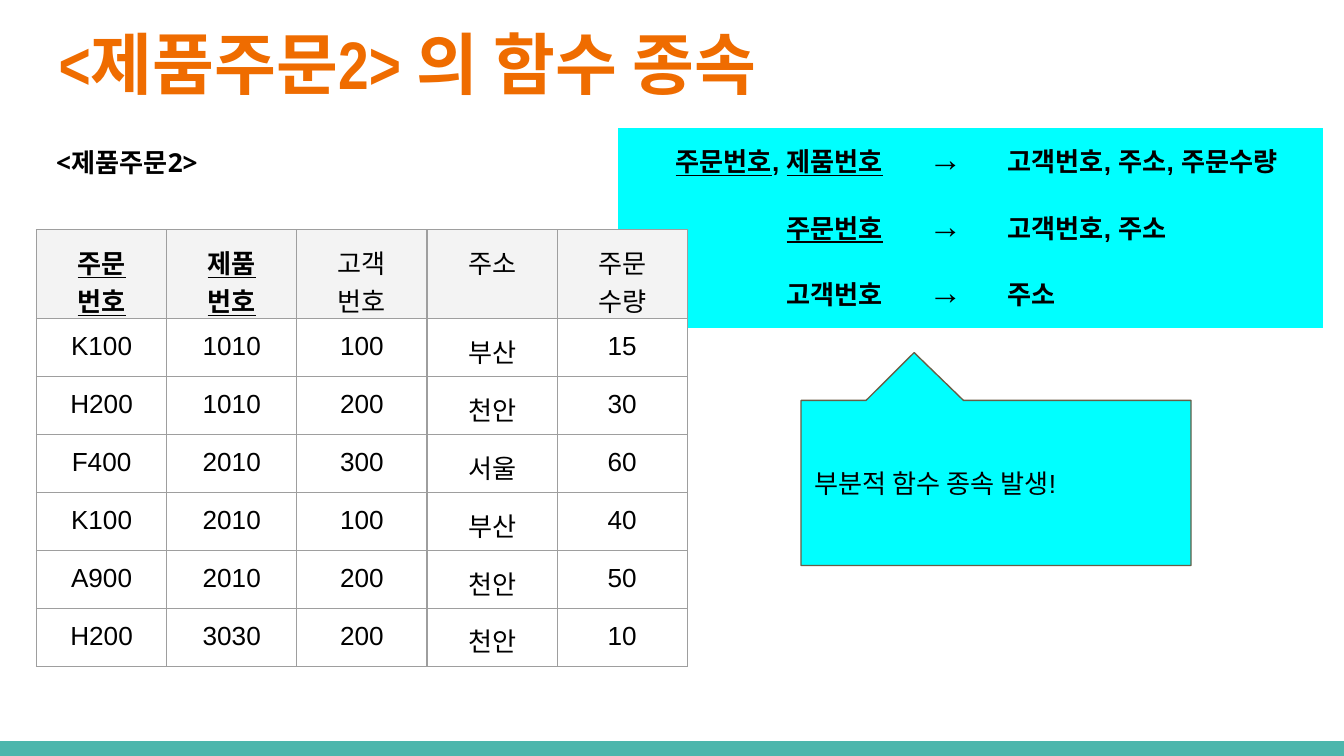
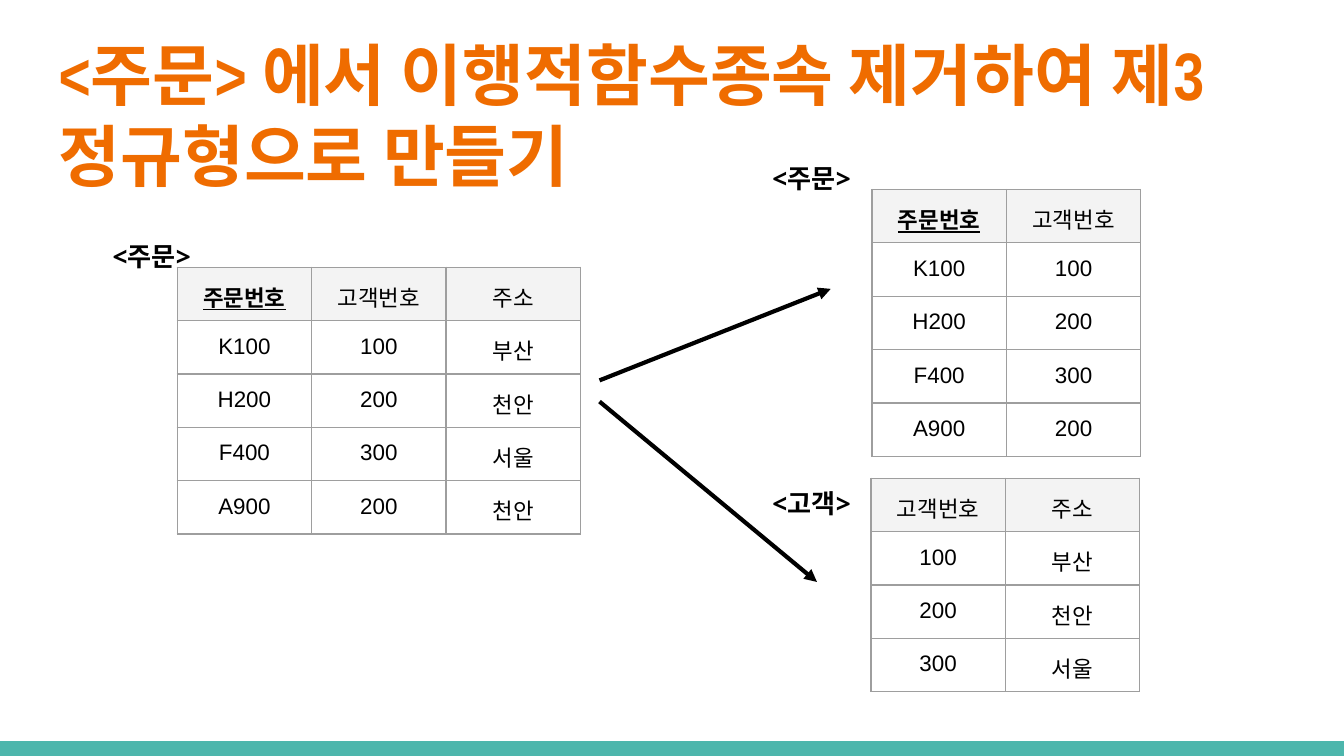
from dataclasses import dataclass

from pptx import Presentation
from pptx.dml.color import RGBColor
from pptx.enum import shapes, text
from pptx.oxml import parse_xml
from pptx.oxml.ns import nsdecls, qn
from pptx.util import Cm, Pt

LEFT, CENTER, RIGHT = text.PP_ALIGN.LEFT, text.PP_ALIGN.CENTER, text.PP_ALIGN.RIGHT
PLAIN_TABLE = "{2D5ABB26-0587-4C30-8999-92F81FD0307C}"


@dataclass(frozen=True)
class Theme:
    ink: str = "000000"
    title: str = "EF6C00"
    band: str = "4DB6AC"
    accent: str = "00FFFF"
    outline: str = "695D46"
    grid: str = "9E9E9E"
    header: str = "F3F3F3"
    paper: str = "FFFFFF"
    body_font: str = "Arial"
    title_font: str = "Arial Narrow"
    label_font: str = "Open Sans"
    title_size: int = 36
    arrow_size: int = 18
    body_size: int = 14
    small_size: int = 12
    inset: float = 0.25


THEME = Theme()


def paint(fill, colour):
    fill.solid()
    fill.fore_color.rgb = RGBColor.from_string(colour)


def write(frame, content, *, font=THEME.body_font, size=THEME.body_size, colour=THEME.ink,
          bold=False, underline=False, align=LEFT, hangul_font=None):
    """Write a string, or a list of (string, underline) pairs, as one paragraph."""
    paragraph = frame.paragraphs[0]
    paragraph.alignment = align
    pieces = [(content, underline)] if isinstance(content, str) else content
    for piece, underlined in pieces:
        for index, line in enumerate(piece.split("\n")):
            if index:
                paragraph.add_line_break()
            run = paragraph.add_run()
            run.text = line
            run.font.size = Pt(size)
            run.font.bold = bold
            run.font.underline = underlined
            run.font.color.rgb = RGBColor.from_string(colour)
            run.font.name = font
            if hangul_font:
                run.font._element.append(
                    parse_xml(f'<a:ea {nsdecls("a")} typeface="{hangul_font}"/>'))


def set_insets(box):
    box.margin_left = box.margin_right = box.margin_top = box.margin_bottom = Cm(THEME.inset)


def add_borders(cell):
    properties = cell._tc.get_or_add_tcPr()
    for side in "LRTB":
        properties.append(parse_xml(
            f'<a:ln{side} {nsdecls("a")} w="{Pt(0.75)}"><a:solidFill>'
            f'<a:srgbClr val="{THEME.grid}"/></a:solidFill></a:ln{side}>'))


class Deck:
    def __init__(self, theme):
        self.theme = theme
        self.presentation = Presentation()
        self.presentation.slide_width = Cm(25.4)
        self.presentation.slide_height = Cm(14.29)
        self.slide = None

    def new_slide(self, title, title_top):
        self.slide = self.presentation.slides.add_slide(self.presentation.slide_layouts[6])
        paint(self.slide.background.fill, self.theme.paper)
        self.shape(shapes.MSO_SHAPE.RECTANGLE, 0, 14.01, 25.4, 0.28, self.theme.band)
        self.text(title, 0.86, title_top, 23.67, 1.96, font=self.theme.title_font,
                  hangul_font=self.theme.title_font, size=self.theme.title_size,
                  colour=self.theme.title, bold=True)

    def shape(self, kind, left, top, width, height, fill):
        shape = self.slide.shapes.add_shape(kind, Cm(left), Cm(top), Cm(width), Cm(height))
        shape.shadow.inherit = False
        paint(shape.fill, fill)
        shape.line.fill.background()
        return shape

    def text(self, content, left, top, width, height, **style):
        frame = self.slide.shapes.add_textbox(
            Cm(left), Cm(top), Cm(width), Cm(height)).text_frame
        frame.word_wrap = True
        set_insets(frame)
        write(frame, content, **style)

    def label(self, content, left, top):
        self.text(content, left, top, 4.04, 0.76, font=self.theme.label_font,
                  hangul_font=self.theme.label_font, bold=True)

    def callout(self, content, left, top, width, height, pointer):
        callout = self.shape(shapes.MSO_SHAPE.ROUNDED_RECTANGULAR_CALLOUT,
                             left, top, width, height, self.theme.accent)
        for index, value in enumerate((*pointer, 0)):
            callout.adjustments[index] = value
        paint(callout.line.fill, self.theme.outline)
        callout.line.width = Pt(0.75)
        frame = callout.text_frame
        frame.word_wrap = True
        frame.vertical_anchor = text.MSO_ANCHOR.MIDDLE
        set_insets(frame)
        write(frame, content)

    def grid(self, left, top, widths, row_height, row_count):
        """Add an unstyled table with even rows."""
        table = self.slide.shapes.add_table(
            row_count, len(widths), Cm(left), Cm(top),
            Cm(sum(widths)), Cm(row_height * row_count)).table
        table.horz_banding = table.first_row = False
        table._tbl.tblPr.find(qn("a:tableStyleId")).text = PLAIN_TABLE
        for column, width in zip(table.columns, widths):
            column.width = Cm(width)
        for row in table.rows:
            row.height = Cm(row_height)
        for cell in table.iter_cells():
            set_insets(cell)
        return table

    def relation(self, rows, left, top, column_width, row_height, size, key_count):
        """Add a bordered table whose first key_count headings are marked as keys."""
        table = self.grid(left, top, [column_width] * len(rows[0]), row_height, len(rows))
        for r, row in enumerate(rows):
            for c, value in enumerate(row):
                cell = table.cell(r, c)
                is_key = r == 0 and c < key_count
                add_borders(cell)
                paint(cell.fill, self.theme.paper if r else self.theme.header)
                write(cell.text_frame, value, size=size, bold=is_key,
                      underline=is_key, align=CENTER)

    def dependencies(self, rules, left, top, widths, row_height):
        table = self.grid(left, top, widths, row_height, len(rules))
        for r, (determinant, dependent) in enumerate(rules):
            parts = ((determinant, RIGHT, self.theme.body_size),
                     ("→", CENTER, self.theme.arrow_size),
                     (dependent, LEFT, self.theme.body_size))
            for c, (content, align, size) in enumerate(parts):
                cell = table.cell(r, c)
                paint(cell.fill, self.theme.accent)
                write(cell.text_frame, content, bold=True, align=align, size=size)

    def arrow(self, x1, y1, x2, y2):
        arrow = self.slide.shapes.add_connector(
            shapes.MSO_CONNECTOR.STRAIGHT, Cm(x1), Cm(y1), Cm(x2), Cm(y2))
        paint(arrow.line.fill, self.theme.ink)
        arrow.line.width = Pt(2.25)
        arrow.line._get_or_add_ln().append(
            parse_xml(f'<a:tailEnd {nsdecls("a")} type="triangle"/>'))
        arrow._element.spPr.append(parse_xml(f'<a:effectLst {nsdecls("a")}/>'))


def build_dependency_slide(deck):
    deck.new_slide("<제품주문2> 의 함수 종속", 0.18)
    deck.dependencies([
        ([("주문번호", True), (", ", False), ("제품번호", True)], "고객번호, 주소, 주문수량"),
        ([("주문번호", True)], "고객번호, 주소"),
        ("고객번호", "주소"),
    ], 11.68, 2.41, [5.26, 1.85, 6.22], 1.07)
    deck.callout("부분적 함수 종속 발생!", 15.14, 7.57, 7.37, 3.12, (-0.21, -0.79))
    deck.label("<제품주문2>", 0.81, 2.51)
    product_orders = [
        ("주문\n번호", "제품\n번호", "고객\n번호", "주소", "주문\n수량"),
        ("K100", "1010", "100", "부산", "15"),
        ("H200", "1010", "200", "천안", "30"),
        ("F400", "2010", "300", "서울", "60"),
        ("K100", "2010", "100", "부산", "40"),
        ("A900", "2010", "200", "천안", "50"),
        ("H200", "3030", "200", "천안", "10"),
    ]
    deck.relation(product_orders, 0.69, 4.34, 2.46, 0.94, THEME.body_size, key_count=2)


def build_third_normal_form_slide(deck):
    deck.new_slide("<주문> 에서 이행적함수종속 제거하여 제3정규형으로 만들기", 0.38)
    orders = [
        ("주문번호", "고객번호", "주소"),
        ("K100", "100", "부산"),
        ("H200", "200", "천안"),
        ("F400", "300", "서울"),
        ("A900", "200", "천안"),
    ]
    order_customers = [row[:2] for row in orders]
    customers = [row[1:] for row in orders[:4]]
    for rows, left, top, key_count in ((orders, 3.35, 5.05, 1),
                                       (order_customers, 16.48, 3.58, 1),
                                       (customers, 16.46, 9.04, 0)):
        deck.relation(rows, left, top, 2.54, 0.99, THEME.small_size, key_count)
    for name, left, top in (("<주문>", 1.88, 4.29), ("<주문>", 14.35, 2.82),
                            ("<고객>", 14.35, 8.97)):
        deck.label(name, left, top)
    deck.arrow(11.33, 7.19, 15.7, 5.46)
    deck.arrow(11.33, 7.59, 15.44, 11)


def main():
    deck = Deck(THEME)
    build_dependency_slide(deck)
    build_third_normal_form_slide(deck)
    deck.presentation.save("out.pptx")


if __name__ == "__main__":
    main()
